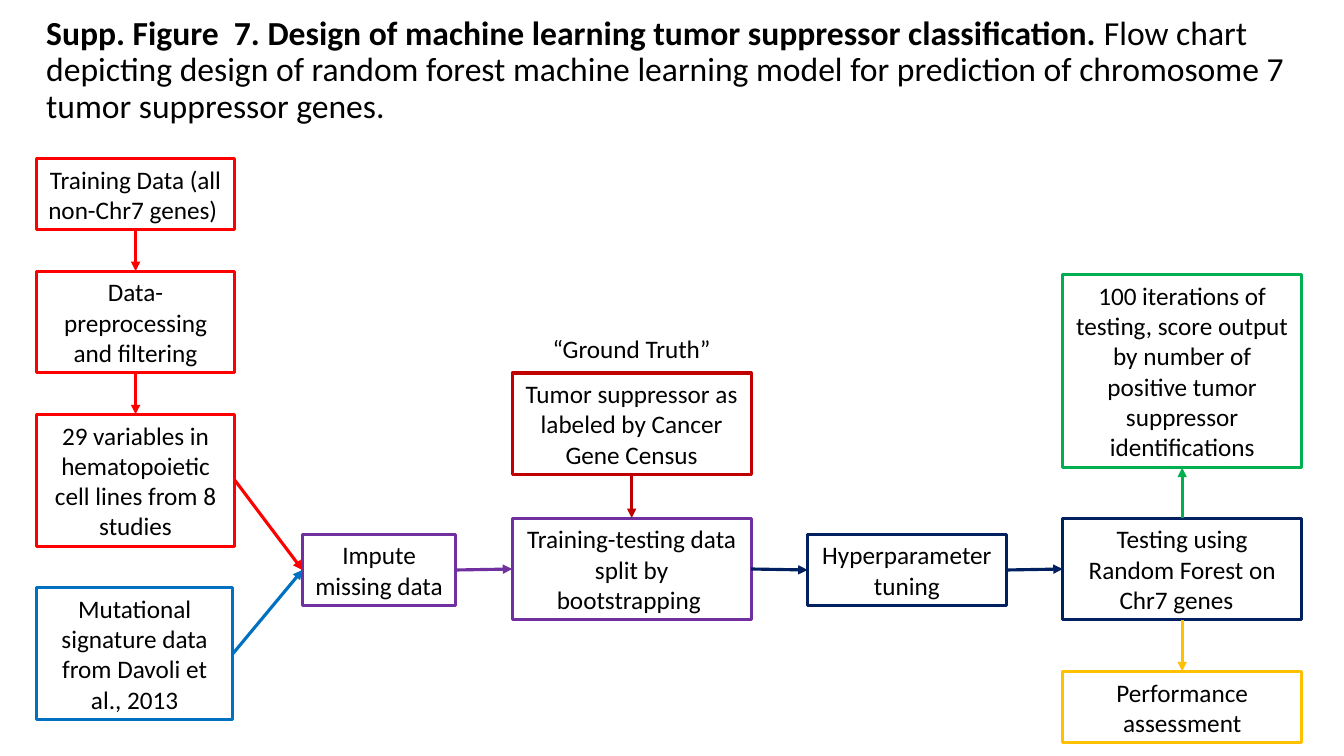
from dataclasses import dataclass

from lxml import etree
from pptx import Presentation
from pptx.dml.color import RGBColor
from pptx.enum.shapes import MSO_CONNECTOR, MSO_SHAPE
from pptx.enum.text import MSO_ANCHOR, MSO_AUTO_SIZE, PP_ALIGN
from pptx.oxml.ns import qn
from pptx.shapes.autoshape import Shape
from pptx.shapes.shapetree import SlideShapes
from pptx.util import Emu, Pt

PX = 9144
RECT = MSO_SHAPE.RECTANGLE
STRAIGHT = MSO_CONNECTOR.STRAIGHT
MIDDLE, TOP = MSO_ANCHOR.MIDDLE, MSO_ANCHOR.TOP
FIT, FIXED = MSO_AUTO_SIZE.SHAPE_TO_FIT_TEXT, MSO_AUTO_SIZE.NONE
CENTER, LEFT = PP_ALIGN.CENTER, PP_ALIGN.LEFT
UP_SIDE, LEFT_SIDE, DOWN_SIDE, RIGHT_SIDE = range(4)

RED, BLUE, PURPLE, CRIMSON = "FF0000", "0070C0", "7030A0", "C00000"
NAVY, GOLD, GREEN = "002060", "FFC000", "00B050"
WHITE, BLACK = "FFFFFF", "000000"
WEIGHT = Pt(2.25)

LABEL = {
    "frame": {"word_wrap": True, "auto_size": FIT, "vertical_anchor": MIDDLE},
    "para": {"alignment": CENTER},
    "font": {"name": "Calibri", "size": Pt(18)},
}
NOTE = LABEL | {"frame": LABEL["frame"] | {"vertical_anchor": TOP}}
TITLE = {
    "frame": {"word_wrap": True, "auto_size": FIXED, "vertical_anchor": MIDDLE},
    "para": {"alignment": LEFT, "line_spacing": 0.9},
    "font": {"name": "Calibri", "size": Pt(24)},
}


@dataclass(frozen=True)
class Box:
    key: str
    left: int
    top: int
    width: int
    height: int
    hue: str
    text: str
    fill: str = WHITE


@dataclass(frozen=True)
class Arrow:
    start: str
    out: int
    end: str
    into: int
    hue: str


BOXES = [
    Box("train", 36, 157, 197, 71, RED, "Training Data (all non-Chr7 genes) ", ""),
    Box("filter", 36, 269, 197, 101, RED, "Data-preprocessing and filtering"),
    Box("lines", 36, 411, 197, 131, RED,
        "29 variables in hematopoietic cell lines from 8 studies"),
    Box("mutant", 36, 583, 195, 131, BLUE,
        "Mutational signature data from Davoli et al., 2013"),
    Box("impute", 300, 530, 152, 71, PURPLE, "Impute missing data"),
    Box("split", 508, 514, 237, 101, PURPLE,
        "Training-testing data split by bootstrapping "),
    Box("census", 508, 370, 237, 101, CRIMSON,
        "Tumor suppressor as labeled by Cancer Gene Census"),
    Box("tuning", 801, 530, 197, 71, NAVY, "Hyperparameter tuning"),
    Box("test", 1054, 514, 237, 101, NAVY,
        "Testing using Random Forest on Chr7 genes  "),
    Box("score", 1054, 272, 237, 192, GREEN,
        "100 iterations of testing, score output by number of positive tumor "
        "suppressor identifications"),
    Box("assess", 1054, 666, 237, 71, GOLD, "Performance assessment"),
]

ARROWS = [
    Arrow("train", DOWN_SIDE, "filter", UP_SIDE, RED),
    Arrow("filter", DOWN_SIDE, "lines", UP_SIDE, RED),
    Arrow("lines", RIGHT_SIDE, "impute", LEFT_SIDE, RED),
    Arrow("mutant", RIGHT_SIDE, "impute", LEFT_SIDE, BLUE),
    Arrow("impute", RIGHT_SIDE, "split", LEFT_SIDE, PURPLE),
    Arrow("census", DOWN_SIDE, "split", UP_SIDE, CRIMSON),
    Arrow("split", RIGHT_SIDE, "tuning", LEFT_SIDE, NAVY),
    Arrow("tuning", RIGHT_SIDE, "test", LEFT_SIDE, NAVY),
    Arrow("test", UP_SIDE, "score", DOWN_SIDE, GREEN),
    Arrow("test", DOWN_SIDE, "assess", UP_SIDE, GOLD),
]


def scale(*sizes: int) -> list[Emu]:
    return [Emu(size * PX) for size in sizes]


def paint(part, hue: str) -> None:
    part.solid()
    part.fore_color.rgb = RGBColor.from_string(hue)


def apply(item, values: dict) -> None:
    for name, value in values.items():
        setattr(item, name, value)


def write(shape: Shape, runs: list[tuple[str, bool]], style: dict) -> None:
    frame = shape.text_frame
    para = frame.paragraphs[0]
    apply(frame, style["frame"])
    apply(para, style["para"])
    for text, bold in runs:
        run = para.add_run()
        run.text = text
        apply(run.font, style["font"] | {"bold": bold})
        paint(run.font.fill, BLACK)


def draw_box(shapes: SlideShapes, box: Box) -> Shape:
    shape = shapes.add_shape(
        RECT, *scale(box.left, box.top, box.width, box.height))
    shape.shadow.inherit = False
    if box.fill:
        paint(shape.fill, box.fill)
    else:
        shape.fill.background()
    paint(shape.line.fill, box.hue)
    shape.line.width = WEIGHT
    write(shape, [(box.text, False)], LABEL)
    return shape


def draw_arrow(shapes: SlideShapes, arrow: Arrow, drawn: dict[str, Shape]) -> None:
    link = shapes.add_connector(STRAIGHT, 0, 0, 0, 0)
    link.begin_connect(drawn[arrow.start], arrow.out)
    link.end_connect(drawn[arrow.end], arrow.into)
    paint(link.line.fill, arrow.hue)
    link.line.width = WEIGHT
    props = link._element.spPr
    etree.SubElement(props.find(qn("a:ln")), qn("a:tailEnd"), type="triangle")
    etree.SubElement(props, qn("a:effectLst"))


def main() -> None:
    deck = Presentation()
    deck.slide_width, deck.slide_height = scale(1333, 750)
    shapes = deck.slides.add_slide(deck.slide_layouts[6]).shapes
    title = shapes.add_textbox(*scale(36, 34, 1255, 73))
    write(title, [
        ("Supp. Figure  7. Design of machine learning tumor suppressor "
         "classification. ", True),
        ("Flow chart depicting design of random forest machine learning model "
         "for prediction of chromosome 7 tumor suppressor genes.", False),
    ], TITLE)
    drawn = {box.key: draw_box(shapes, box) for box in BOXES}
    truth = shapes.add_textbox(*scale(536, 326, 181, 40))
    write(truth, [("“Ground Truth”", False)], NOTE)
    for arrow in ARROWS:
        draw_arrow(shapes, arrow, drawn)
    deck.save("out.pptx")


if __name__ == "__main__":
    main()
